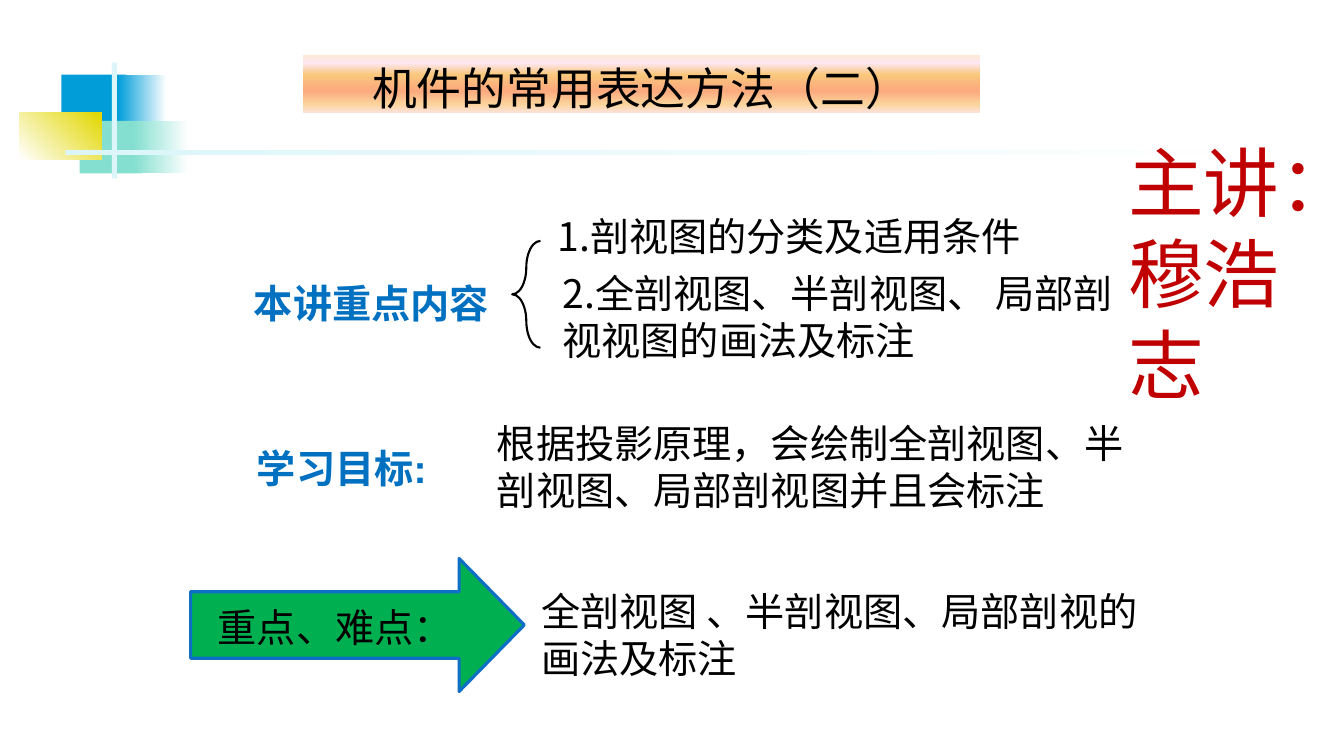
from lxml import etree
from pptx import Presentation
from pptx.enum import shapes, text
from pptx.dml.color import RGBColor
from pptx.oxml.ns import qn
from pptx.util import Inches, Pt

COLORS = {
    "white": "FFFFFF", "black": "000000", "blue": "009DD9", "mint": "85DFD0",
    "yellow": "E2D700", "ice": "DBF5F9", "red": "C00000", "label": "0070C0",
    "green": "00B050", "outline": "0F6FC6", "cream": "FBEAC7", "pink": "FEE7F2",
    "amber": "FAC77D", "coral": "FBA97D", "sand": "FBD49C",
}
NOTO, ARIAL = "Noto Sans CJK SC", "Arial"

# Content: text, box (left, top, width, height), font
TITLE = "机件的常用表达方法（二）"
TITLE_BOX = (2.97, 0.51, 6.78, 0.64)
TITLE_STOPS = [(0, "cream"), (18, "pink"), (36, "amber"),
               (61, "coral"), (82, "sand"), (100, "pink")]
LECTURER = ("主讲：穆浩志", (11.09, 1.23, 2.02, 3.7), NOTO)
LABELS = [
    ("本讲重点内容", (2.42, 2.59, 2.98, 0.68), ARIAL),
    ("学习目标:", (2.45, 4.23, 2.14, 0.8), ARIAL),
]
BODIES = [
    ("1.剖视图的分类及适用条件", (5.43, 2.02, 5.12, 0.57), NOTO),
    ("2.全剖视图、半剖视图、 局部剖视视图的画法及标注", (5.48, 2.59, 5.88, 1.04), NOTO),
    ("根据投影原理，会绘制全剖视图、半剖视图、局部剖视图并且会标注",
     (4.83, 4.07, 6.57, 1.04), ARIAL),
    ("全剖视图 、半剖视图、局部剖视的画法及标注", (5.27, 5.74, 6.18, 1.04), ARIAL),
]
KEY_POINTS = "重点、难点："
KEY_BOX = (1.89, 5.54, 3.31, 1.32)
BRACE_BOX = (5.08, 2.39, 0.28, 1.06)

# Corner decoration: box, start colour, end colour (None = solid), angle
DECORATION = [
    ((0.61, 0.74, 0.64, 0.52), "blue", None, 0),
    ((1.17, 0.74, 0.48, 0.52), "blue", "white", 0),
    ((0.79, 1.2, 0.62, 0.52), "mint", None, 0),
    ((1.33, 1.2, 0.54, 0.52), "mint", "white", 0),
    ((0.19, 1.12, 0.82, 0.46), "white", "yellow", 315),
    ((1.11, 0.62, 0.05, 1.15), "ice", None, 0),
    ((0.65, 1.49, 12, 0.05), "ice", "white", 0),
]


def rgb(name):
    return RGBColor.from_string(COLORS[name])


def inches(box):
    return [Inches(length) for length in box]


def solid(shape, color):
    shape.fill.solid()
    shape.fill.fore_color.rgb = rgb(color)


def gradient(shape, stops, angle):
    """Fill a shape with a linear gradient, angle clockwise in degrees."""
    shape.fill.gradient()
    fill = shape._element.spPr.find(qn("a:gradFill"))
    stop_list = fill.find(qn("a:gsLst"))
    for stop in list(stop_list):
        stop_list.remove(stop)
    for percent, color in stops:
        stop = etree.SubElement(stop_list, qn("a:gs"), pos=str(percent * 1000))
        etree.SubElement(stop, qn("a:srgbClr"), val=COLORS[color])
    direction = fill.find(qn("a:lin"))
    direction.set("ang", str(angle * 60000))
    direction.set("scaled", "0")


def write(shape, words, font, size=28, color="black", bold=False, spacing=1.2,
          align=text.PP_ALIGN.LEFT, anchor=text.MSO_ANCHOR.TOP):
    frame = shape.text_frame
    frame.text = words
    frame.word_wrap = True
    frame.auto_size = text.MSO_AUTO_SIZE.NONE
    frame.vertical_anchor = anchor
    frame.margin_left = frame.margin_right = Inches(0.1)
    frame.margin_top = Inches(0.05 + size * 0.0013)
    frame.margin_bottom = Inches(0.05)
    line = frame.paragraphs[0]
    line.alignment = align
    line.line_spacing = Pt(round(size * spacing, 1))
    line.font.size = Pt(size)
    line.font.bold = bold
    line.font.color.rgb = rgb(color)
    line.font.name = font
    defaults = line._p.pPr.find(qn("a:defRPr"))
    etree.SubElement(defaults, qn("a:ea"), typeface=NOTO)


def main():
    deck = Presentation()
    deck.slide_width, deck.slide_height = Inches(13.33), Inches(7.5)
    slide = deck.slides.add_slide(deck.slide_layouts[5])

    def add_shape(kind, box):
        shape = slide.shapes.add_shape(kind, *inches(box))
        shape.shadow.inherit = False
        return shape

    def add_text(words, box, font, **style):
        write(slide.shapes.add_textbox(*inches(box)), words, font, **style)

    # Corner decoration
    for box, start, end, angle in DECORATION:
        block = add_shape(shapes.MSO_SHAPE.RECTANGLE, box)
        block.line.fill.background()
        if end:
            gradient(block, [(0, start), (100, end)], angle)
        else:
            solid(block, start)

    # Title band
    title = slide.shapes.title
    title.left, title.top, title.width, title.height = inches(TITLE_BOX)
    gradient(title, TITLE_STOPS, 90)
    title.line.color.rgb = rgb("white")
    title.line.width = Pt(4.5)
    write(title, TITLE, NOTO, size=32, align=text.PP_ALIGN.CENTER)

    # Lecturer, labels and body text
    add_text(*LECTURER, size=54, color="red")
    for label in LABELS:
        add_text(*label, color="label", bold=True, spacing=1.44)
    for body in BODIES:
        add_text(*body)

    # Brace joining the two topics
    brace = add_shape(shapes.MSO_SHAPE.LEFT_BRACE, BRACE_BOX)
    brace.adjustments[0] = 1.08
    brace.fill.background()
    brace.line.color.rgb = rgb("black")
    brace.line.width = Pt(1.5)

    # Key points arrow
    arrow = add_shape(shapes.MSO_SHAPE.RIGHT_ARROW, KEY_BOX)
    arrow.adjustments[1] = 0.49
    solid(arrow, "green")
    arrow.line.color.rgb = rgb("outline")
    arrow.line.width = Pt(2.25)
    write(arrow, KEY_POINTS, ARIAL, anchor=text.MSO_ANCHOR.MIDDLE)
    arrow.text_frame.margin_left = Inches(0.27)

    deck.save("out.pptx")


if __name__ == "__main__":
    main()
